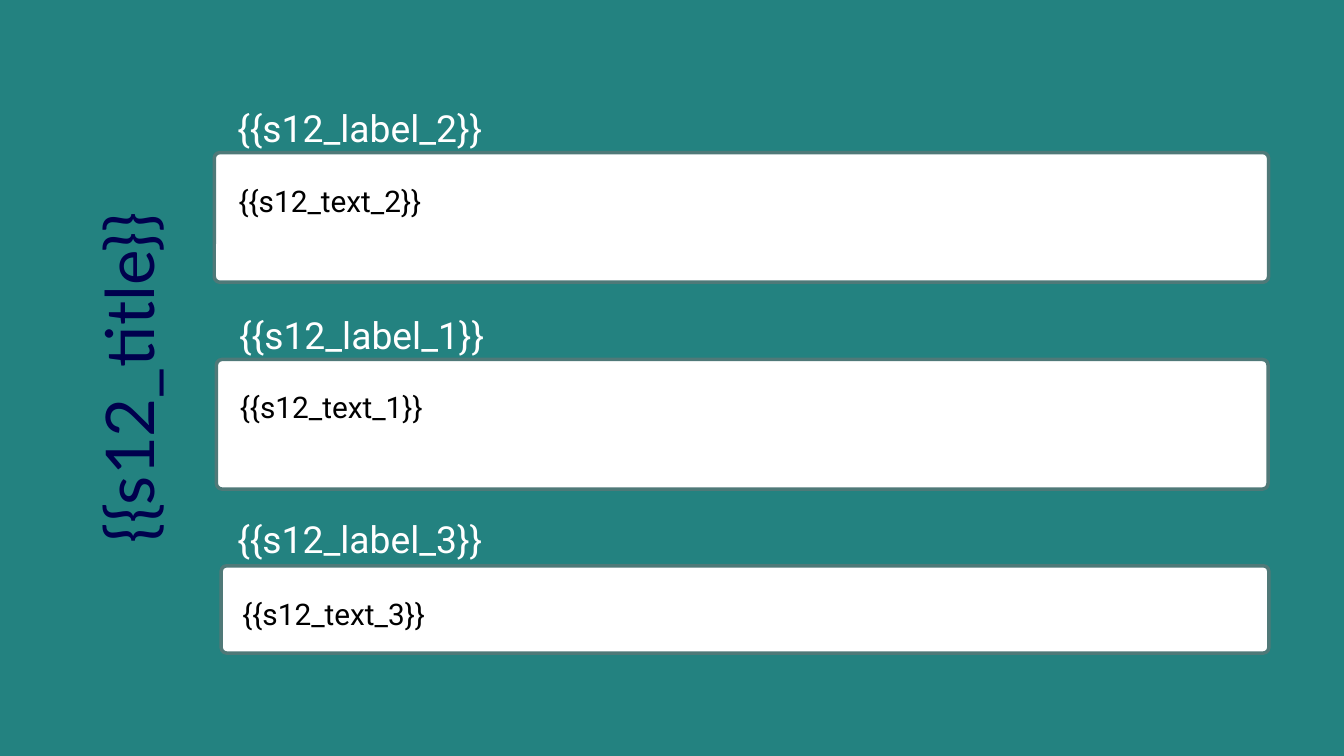
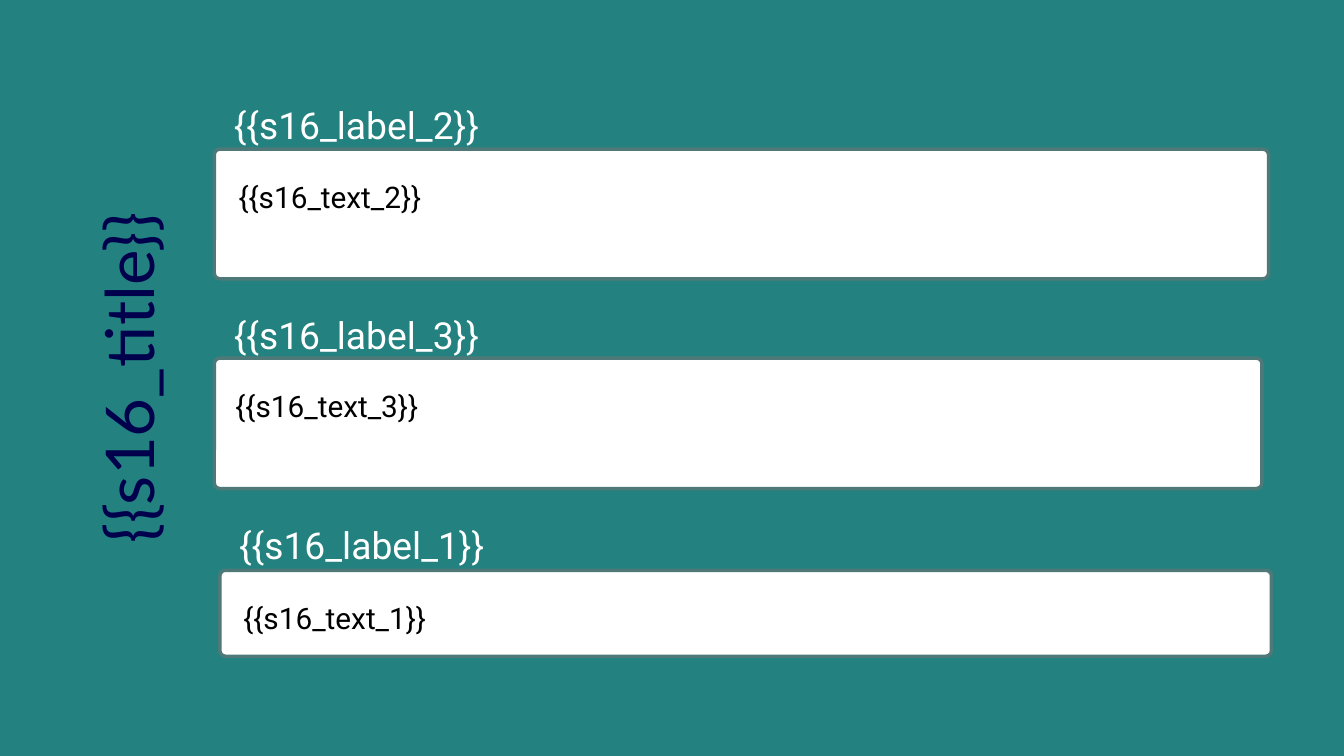
import dataclasses

import pptx
import pptx.dml.color
import pptx.enum.shapes
import pptx.enum.text
import pptx.util

Cm = pptx.util.Cm
Pt = pptx.util.Pt

TEAL = "238280"
GREY = "4F7978"
WHITE = "FFFFFF"
NAVY = "00004D"
BLACK = "000000"

CORNER = 0.21
TEXT_DROP = 0.9
PANEL_WIDTH = {1: 39.75, 2: 39.85, 3: 39.6}
TEXT_INSET = {1: 0.89, 2: 0.92, 3: 0.8}


@dataclasses.dataclass
class TextStyle:
    font: str
    size: float
    spacing: float
    color: str
    align: pptx.enum.text.PP_ALIGN = pptx.enum.text.PP_ALIGN.LEFT


TITLE = TextStyle("Lato", 72, 98.9, NAVY, pptx.enum.text.PP_ALIGN.CENTER)
LABEL = TextStyle("Roboto", 39.9, 55.8, WHITE)
BODY = TextStyle("Roboto", 31.9, 44.6, BLACK)


@dataclasses.dataclass
class Section:
    number: int
    left: float
    top: float
    height: float
    label_left: float
    label_top: float
    label_width: float


SLIDES = {
    "s12": [
        Section(1, 8.18, 13.59, 4.9, 9.04, 11.53, 19.18),
        Section(2, 8.1, 5.77, 4.9, 8.97, 3.71, 19.25),
        Section(3, 8.36, 21.39, 3.3, 8.97, 19.25, 17.83),
    ],
    "s16": [
        Section(1, 8.31, 21.56, 3.25, 9.04, 19.46, 17.4),
        Section(2, 8.1, 5.64, 4.9, 8.84, 3.58, 14.61),
        Section(3, 8.1, 13.54, 4.93, 8.84, 11.51, 10.26),
    ],
}


def paint(target, color):
    target.rgb = pptx.dml.color.RGBColor.from_string(color)


def add_text(page, text, left, top, width, height, style):
    box = page.shapes.add_textbox(Cm(left), Cm(top), Cm(width), Cm(height))
    frame = box.text_frame
    frame.word_wrap = True
    frame.margin_left = frame.margin_top = 0
    frame.margin_right = frame.margin_bottom = 0
    frame.text = text
    para = frame.paragraphs[0]
    para.alignment = style.align
    para.line_spacing = Pt(style.spacing)
    span = para.runs[0]
    span.font.name = style.font
    span.font.size = Pt(style.size)
    paint(span.font.color, style.color)
    return box


def add_panel(page, left, top, width, height):
    panel = page.shapes.add_shape(
        pptx.enum.shapes.MSO_SHAPE.ROUNDED_RECTANGLE,
        Cm(left), Cm(top), Cm(width), Cm(height))
    panel.adjustments[0] = CORNER / height
    panel.shadow.inherit = False
    panel.fill.solid()
    paint(panel.fill.fore_color, WHITE)
    paint(panel.line.color, GREY)
    panel.line.width = Pt(3.75)


def add_title(page, prefix):
    title = add_text(page, f"{{{{{prefix}_title}}}}", -2.29, 12.17, 14.5, 4.22, TITLE)
    title.rotation = 270


def add_section(page, prefix, section):
    number = section.number
    width = PANEL_WIDTH[number]
    inset = TEXT_INSET[number]
    add_panel(page, section.left, section.top, width, section.height)
    add_text(page, f"{{{{{prefix}_text_{number}}}}}",
             section.left + inset, section.top + TEXT_DROP,
             width - 2 * inset, section.height - 2 * TEXT_DROP, BODY)
    add_text(page, f"{{{{{prefix}_label_{number}}}}}",
             section.label_left, section.label_top, section.label_width, 1.85, LABEL)


def main():
    deck = pptx.Presentation()
    deck.slide_width = Cm(50.8)
    deck.slide_height = Cm(28.58)
    backdrop = deck.slide_master.background.fill
    backdrop.solid()
    paint(backdrop.fore_color, TEAL)
    for prefix, sections in SLIDES.items():
        page = deck.slides.add_slide(deck.slide_layouts[6])
        add_title(page, prefix)
        for section in sections:
            add_section(page, prefix, section)
    deck.save("out.pptx")


if __name__ == "__main__":
    main()
